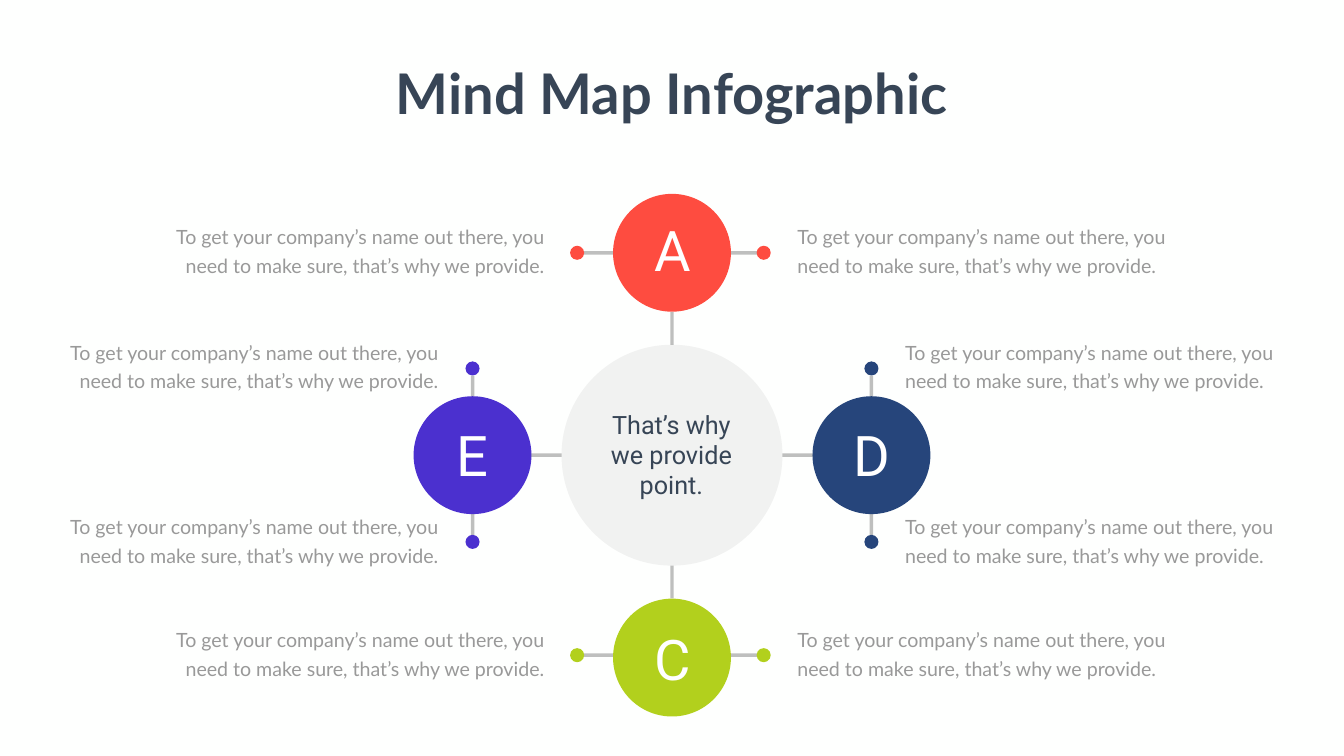
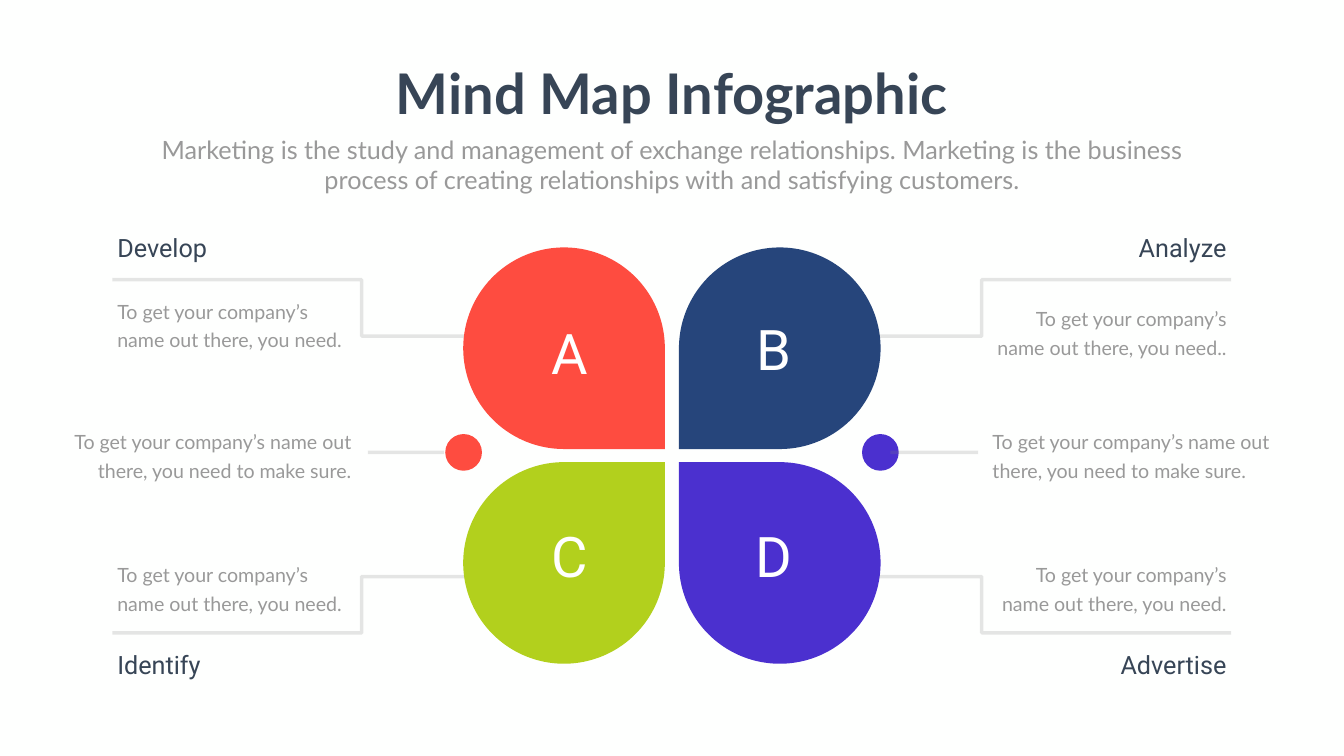
from lxml import etree
from pptx import Presentation
from pptx.dml.color import RGBColor
from pptx.enum.shapes import MSO_CONNECTOR, MSO_SHAPE
from pptx.enum.text import MSO_AUTO_SIZE, PP_ALIGN
from pptx.oxml.ns import qn
from pptx.util import Cm, Pt

LEFT, MID, RIGHT = PP_ALIGN.LEFT, PP_ALIGN.CENTER, PP_ALIGN.RIGHT
OVAL, DROP = MSO_SHAPE.OVAL, MSO_SHAPE.TEAR
STRAIGHT, ELBOW = MSO_CONNECTOR.STRAIGHT, MSO_CONNECTOR.ELBOW
GROW = MSO_AUTO_SIZE.SHAPE_TO_FIT_TEXT

WIDE, HIGH = 67.72, 38.1
HUB_X, HUB_Y = 33.86, 22.94
HUB, DISC, DOT, PETAL, SPOT = 11.13, 5.94, 0.71, 10.16, 1.85
NOTE_H, TITLE_H = 3.02, 3.68

COLORS = {
    "page": "FEFFFE", "ink": "374556", "note": "999999", "white": "FFFFFF",
    "gray": "808080", "red": "FE4C40", "blue": "26457B", "lime": "B2D01D",
    "violet": "4B30CF",
}
STYLES = {
    "title": ({"name": "Lato", "size": Pt(80), "bold": True}, "ink", {}),
    "lead": ({"name": "Lato", "size": Pt(36)}, "note", {}),
    "note": ({"name": "Lato", "size": Pt(28)}, "note", {"line_spacing": Pt(40.8)}),
    "label": ({"name": "Roboto", "size": Pt(36)}, "ink", {}),
    "hub": ({"name": "Roboto", "size": Pt(36)}, "ink", {"line_spacing": Pt(43)}),
    "letter": ({"name": "Roboto", "size": Pt(80)}, "white", {}),
}

LONG = "To get your company’s name out there, you need to make sure, that’s why we provide."
SURE = "To get your company’s name out there, you need to make sure."
NEED = "To get your company’s name out there, you need."
LEAD = ("Marketing is the study and management of exchange relationships. Marketing is the "
        "business process of creating relationships with and satisfying customers.")


def tint(name):
    """Return the named colour."""
    return RGBColor.from_string(COLORS[name])


def fade(fill, share):
    """Make a solid fill see-through, keeping a share in percent."""
    color = fill._xPr.find(qn("a:solidFill"))[0]
    etree.SubElement(color, qn("a:alpha"), val=str(share * 1000))


def put_text(slide, text, style, box, align=MID, wrap=True):
    """Add a text box in one of the shared styles."""
    frame = slide.shapes.add_textbox(*map(Cm, box)).text_frame
    frame.word_wrap = wrap
    frame.auto_size = GROW
    para = frame.paragraphs[0]
    run = para.add_run()
    run.text = text
    font, color, layout = STYLES[style]
    for part, values in ((run.font, font), (para, {"alignment": align, **layout})):
        for key, value in values.items():
            setattr(part, key, value)
    run.font.color.rgb = tint(color)


def put_shape(slide, kind, x, y, size, color, turn=0, share=100):
    """Add a plain shape centred on a point."""
    shape = slide.shapes.add_shape(
        kind, Cm(x - size / 2), Cm(y - size / 2), Cm(size), Cm(size))
    shape.shadow.inherit = False
    shape.rotation = turn
    shape.fill.solid()
    shape.fill.fore_color.rgb = tint(color)
    shape.line.fill.background()
    if share < 100:
        fade(shape.fill, share)


def put_line(slide, ends, share, kind=STRAIGHT):
    """Add a gray line, bent near its start if it is an elbow."""
    line = slide.shapes.add_connector(kind, *map(Cm, ends))
    line.line.width = Pt(5)
    line.line.fill.solid()
    line.line.fill.fore_color.rgb = tint("gray")
    fade(line.line.fill, share)
    props = line._element.spPr
    etree.SubElement(props, qn("a:effectLst"))
    if kind == ELBOW:
        guides = props.find(qn("a:prstGeom")).get_or_add_avLst()
        etree.SubElement(guides, qn("a:gd"), name="adj1", fmla="val 34500")


def put_spokes(slide, x, y, near, far, across):
    """Add two equal lines on opposite sides of a point."""
    for side in (-1, 1):
        a, b = side * near, side * far
        ends = (x + a, y, x + b, y) if across else (x, y + a, x, y + b)
        put_line(slide, ends, 50)


def start_slide(deck):
    """Add a blank slide with the shared page colour and title."""
    slide = deck.slides.add_slide(deck.slide_layouts[6])
    slide.background.fill.solid()
    slide.background.fill.fore_color.rgb = tint("page")
    put_text(slide, "Mind Map Infographic", "title",
             (19.53, 2.84, 28.65, TITLE_H), wrap=False)
    return slide


def draw_hub(deck):
    """Draw the hub with four lettered discs around it."""
    slide = start_slide(deck)
    reach, rise = 10.05, 10.2
    nodes = (
        ("E", "violet", HUB_X - reach, HUB_Y, 21.08),
        ("D", "blue", HUB_X + reach, HUB_Y, 21.08),
        ("A", "red", HUB_X, HUB_Y - rise, 10.74),
        ("C", "lime", HUB_X, HUB_Y + rise, 31.37),
    )
    for across in (True, False):
        put_spokes(slide, HUB_X, HUB_Y, 5.56, 7.22, across)
    put_shape(slide, OVAL, HUB_X, HUB_Y, HUB, "gray", share=10)
    put_text(slide, "That’s why we provide point.", "hub", (29.79, 20.52, 8.08, 4.85))
    for letter, color, x, y, top in nodes:
        across = x == HUB_X
        row = 33.02 if letter == "C" else y
        if across:
            put_spokes(slide, x, row, 2.8, 4.48, True)
        else:
            put_spokes(slide, x, y, 2.36, 4.01, False)
        put_shape(slide, OVAL, x, y, DISC, color)
        for side in (-1, 1):
            if across:
                put_shape(slide, OVAL, 33.78 + side * 4.7, row, DOT, color)
            else:
                put_shape(slide, OVAL, x, y + side * 4.37, DOT, color)
        put_text(slide, letter, "letter", (x - 1.13, top, 2.26, TITLE_H))
    for left, right, tops in ((8.26, 39.93, (10.97, 31.29)), (2.92, 45.36, (16.79, 25.58))):
        for top in tops:
            for x, align in ((left, RIGHT), (right, LEFT)):
                put_text(slide, LONG, "note", (x, top, 19.41, NOTE_H), align)


def draw_petals(deck):
    """Draw four lettered petals with notes on both sides."""
    slide = start_slide(deck)
    put_text(slide, LEAD, "lead", (7.42, 6.63, 52.88, 3.33))
    for start, end in ((24.84, 5.66), (42.85, 62.03)):
        for inner, outer in ((16.94, 14.1), (29.06, 31.9)):
            put_line(slide, (start, inner, end, outer), 20, ELBOW)
    petals = (
        ("A", "red", 28.42, 17.55, 90, 26.09, 15.93),
        ("B", "blue", 39.29, 17.55, 180, 36.37, 15.72),
        ("C", "lime", 28.42, 28.37, 0, 26.09, 26.16),
        ("D", "violet", 39.29, 28.37, 270, 36.4, 26.16),
    )
    for letter, color, x, y, turn, left, top in petals:
        put_shape(slide, DROP, x, y, PETAL, color, turn)
        put_text(slide, letter, "letter", (left, top, 5.23, TITLE_H))
    topics = (
        ("Develop", NEED, LEFT, 11.58, 14.73),
        ("Analyze", NEED + ".", RIGHT, 11.58, 15.11),
        ("Identify", NEED, LEFT, 32.59, 27.99),
        ("Advertise", NEED, RIGHT, 32.59, 27.99),
    )
    for label, note, align, head, top in topics:
        for text, style, y, width, height in (
                (label, "label", head, 11.2, 1.8), (note, "note", top, 12.34, NOTE_H)):
            x = 5.66 if align == LEFT else 62.05 - width
            put_text(slide, text, style, (x, y, width, height), align)
    sides = (
        ("red", 23.36, 18.54, 22.38, 3.07, RIGHT),
        ("violet", 44.36, 44.86, 49.28, 49.76, LEFT),
    )
    for color, x, start, end, left, align in sides:
        put_shape(slide, OVAL, x, 22.8, SPOT, color)
        put_line(slide, (start, 22.8, end, 22.8), 20)
        put_text(slide, SURE, "note", (left, 21.29, 14.88, NOTE_H), align)


def main():
    """Build and save the deck."""
    deck = Presentation()
    deck.slide_width, deck.slide_height = Cm(WIDE), Cm(HIGH)
    draw_hub(deck)
    draw_petals(deck)
    deck.save("out.pptx")


if __name__ == "__main__":
    main()
